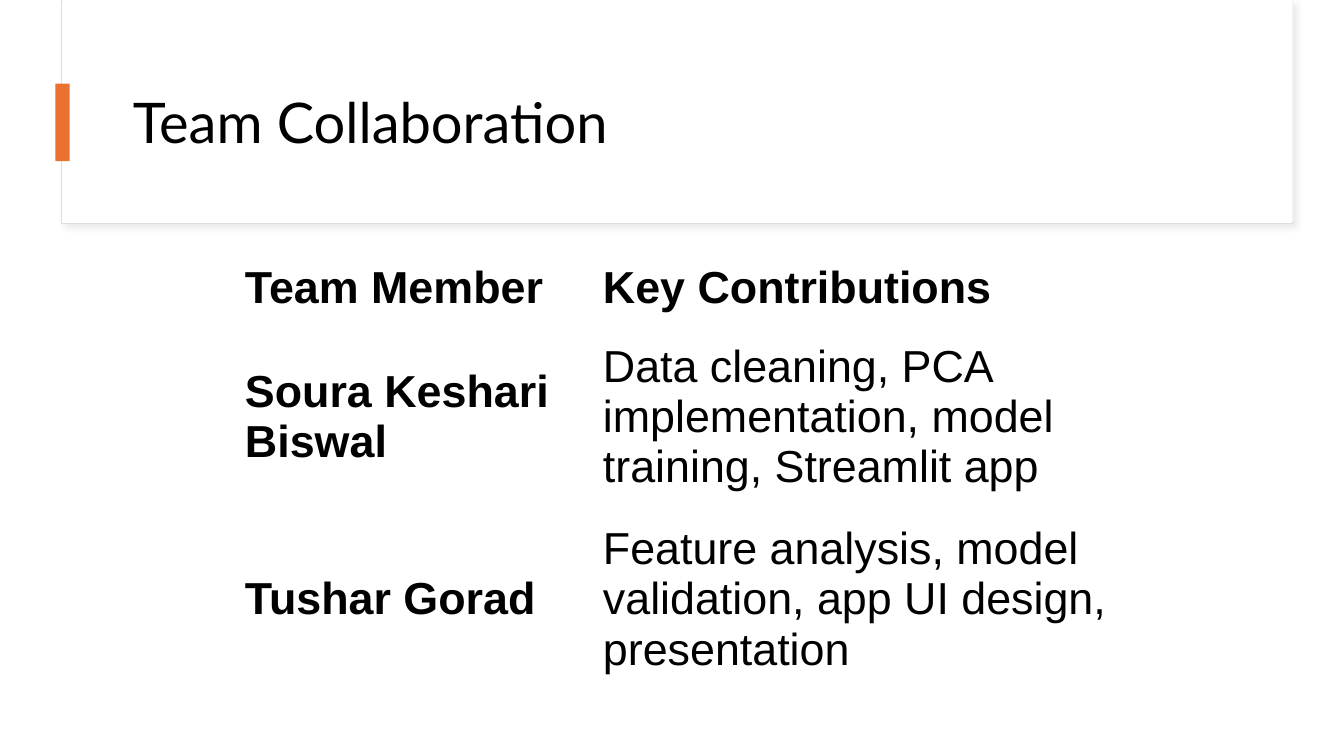
from dataclasses import dataclass
from lxml import etree
from pptx import Presentation
from pptx.dml.color import RGBColor
from pptx.enum.shapes import MSO_SHAPE as SHAPE
from pptx.enum.text import MSO_ANCHOR as ANCHOR
from pptx.oxml import parse_xml
from pptx.oxml.ns import nsdecls, qn
from pptx.util import Inches, Pt

TITLE = "Team Collaboration"
ROWS = [
    ("Team Member", "Key Contributions"),
    ("Soura Keshari Biswal", "Data cleaning, PCA implementation, model training, Streamlit app"),
    ("Tushar Gorad", "Feature analysis, model validation, app UI design, presentation"),
]
SLIDE = (13.33, 7.5)
FRAME = (0.61, 0.01, 12.21, 2.21)
PANEL = (0.62, 0, 12.2, 2.2)
TITLE_BOX = (1.22, 0.6, 11.12, 1.29)
ACCENT_BAR = (0.55, 0.83, 0.14, 0.77)
TABLE_AT = (2.25, 2.48)
COLS = (3.55, 5.52)
ROW_HEIGHTS = (0.75, 1.81, 1.81)
CELL_INSETS = (0.18, 0.09)


@dataclass(frozen=True)
class Theme:
    text: str = "000000"
    panel: str = "FFFFFF"
    edge: str = "DEDEDE"
    shade: str = "D9D9D9"
    accent: str = "E97132"
    title_font: str = "Lato"
    body_font: str = "Arial"
    title_size: int = 40
    body_size: int = 32


THEME = Theme()


def inches(values):
    return [Inches(v) for v in values]


def write(tf, text, font, size, bold=False, spacing=None):
    tf.word_wrap = True
    p = tf.paragraphs[0]
    p.line_spacing = spacing
    r = p.add_run()
    r.text = text
    r.font.name = font
    r.font.size = Pt(size)
    r.font.bold = bold
    r.font.color.rgb = RGBColor.from_string(THEME.text)


def add_rect(slide, box, fill, line=None):
    s = slide.shapes.add_shape(SHAPE.RECTANGLE, *inches(box))
    s.shadow.inherit = False
    s.fill.solid()
    s.fill.fore_color.rgb = RGBColor.from_string(fill)
    if line:
        s.line.color.rgb = RGBColor.from_string(line)
        s.line.width = Pt(0.75)
    else:
        s.line.fill.background()
    return s


def add_shadow(s):
    effects = s.element.spPr.find(qn("a:effectLst"))
    shadow = parse_xml(
        f'<a:outerShdw {nsdecls("a")} blurRad="{Pt(4)}" dist="{Pt(3)}" '
        f'dir="{45 * 60000}" algn="tl" rotWithShape="0"/>')
    color = etree.SubElement(shadow, qn("a:srgbClr"), val=THEME.shade)
    etree.SubElement(color, qn("a:alpha"), val="50000")
    effects.append(shadow)


def add_title(slide):
    tf = slide.shapes.add_textbox(*inches(TITLE_BOX)).text_frame
    tf.vertical_anchor = ANCHOR.MIDDLE
    write(tf, TITLE, THEME.title_font, THEME.title_size, spacing=0.9)


def add_team_table(slide):
    size = (sum(COLS), sum(ROW_HEIGHTS))
    table = slide.shapes.add_table(len(ROWS), len(COLS), *inches(TABLE_AT + size)).table
    table.first_row = table.horz_banding = False
    for column, width in zip(table.columns, COLS):
        column.width = Inches(width)
    side, edge = inches(CELL_INSETS)
    for i, (row, height) in enumerate(zip(ROWS, ROW_HEIGHTS)):
        table.rows[i].height = Inches(height)
        for j, text in enumerate(row):
            cell = table.cell(i, j)
            cell.fill.background()
            cell.vertical_anchor = ANCHOR.MIDDLE
            cell.margin_left = cell.margin_right = side
            cell.margin_top = cell.margin_bottom = edge
            write(cell.text_frame, text, THEME.body_font, THEME.body_size,
                  bold=i == 0 or j == 0)


def main():
    prs = Presentation()
    prs.slide_width, prs.slide_height = inches(SLIDE)
    slide = prs.slides.add_slide(prs.slide_layouts[6])
    add_shadow(add_rect(slide, FRAME, THEME.panel, line=THEME.edge))
    add_rect(slide, PANEL, THEME.panel)
    add_title(slide)
    add_rect(slide, ACCENT_BAR, THEME.accent)
    add_team_table(slide)
    prs.save("out.pptx")


if __name__ == "__main__":
    main()
